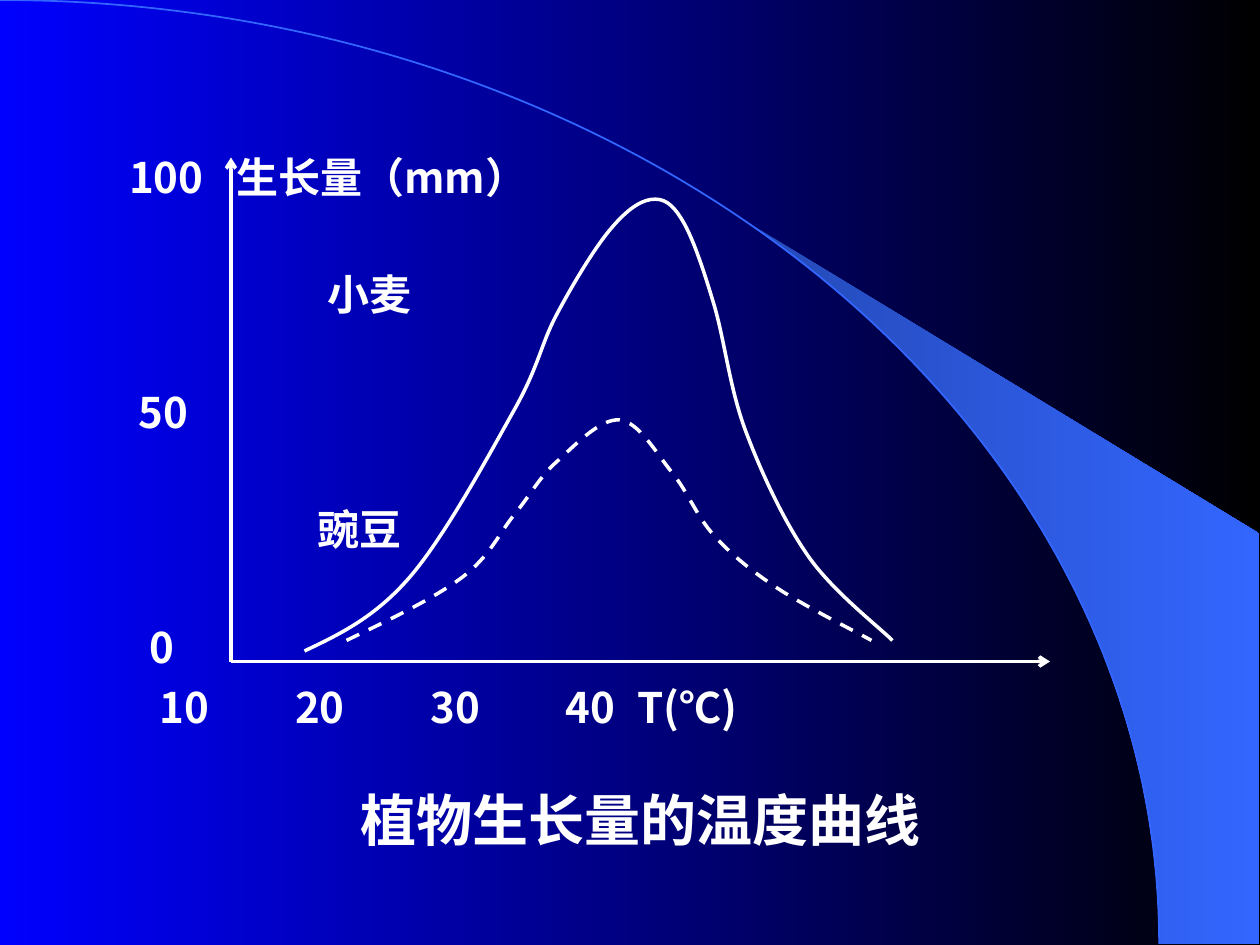
from dataclasses import dataclass
from math import cos, radians, sin

from lxml.etree import SubElement
from pptx import Presentation
from pptx.dml.color import RGBColor
from pptx.enum.dml import MSO_LINE
from pptx.enum.shapes import MSO_CONNECTOR
from pptx.enum.text import MSO_ANCHOR, MSO_AUTO_SIZE, PP_ALIGN
from pptx.oxml.ns import qn
from pptx.util import Inches, Pt

COLUMNS, ROWS = 120, 90  # twelve grid units to the inch


@dataclass(frozen=True)
class Theme:
    background: tuple = ("0000FF", "000000")
    beam: tuple = ("2449B6", "3366FF")
    arc: str = "3366FF"
    ink: str = "FFFFFF"
    title_font: str = "Noto Sans CJK JP"
    label_font: str = "Noto Sans CJK SC"
    title_size: int = 32
    label_size: int = 24
    line_width: int = 2
    arc_width: int = 1


def units(value):
    return Inches(value / 12)


def write_text(shape, text, *, font, size, color, align=PP_ALIGN.LEFT, wrap=False):
    frame = shape.text_frame
    frame.word_wrap = wrap
    frame.auto_size = MSO_AUTO_SIZE.NONE
    frame.vertical_anchor = MSO_ANCHOR.MIDDLE
    frame.margin_left = frame.margin_right = frame.margin_top = frame.margin_bottom = 0
    paragraph = frame.paragraphs[0]
    paragraph.alignment = align
    run = paragraph.add_run()
    run.text = text
    run.font.name, run.font.size, run.font.bold = font, Pt(size), True
    run.font.color.rgb = RGBColor.from_string(color)
    SubElement(run.font._element, qn("a:ea"), typeface=font)


def spline_points(knots):
    """Return anchors and Bezier controls of a smooth curve through the knots."""
    extended = knots + [knots[-1]]
    points = [knots[0]]
    for i in range(len(knots) - 1):
        here, following, beyond = extended[i:i + 3]
        arriving = tuple(b - (c - a) / 6 for a, b, c in zip(here, following, beyond))
        if i == 0:
            leaving = tuple((a + b) / 2 for a, b in zip(here, arriving))
        else:
            leaving = tuple(b + (c - a) / 6 for a, b, c in zip(knots[i - 1], here, following))
        points += [leaving, arriving, following]
    return points


class SlideBuilder:
    def __init__(self, presentation, theme):
        self.theme = theme
        self.slide = presentation.slides.add_slide(presentation.slide_layouts[5])
        self.gradient(self.slide.background.fill, theme.background)

    def gradient(self, fill, colors):
        fill.gradient()
        fill.gradient_angle = 0
        for stop, color in zip(fill.gradient_stops, colors):
            stop.color.rgb = RGBColor.from_string(color)

    def stroke(self, line, color, width):
        line.color.rgb = RGBColor.from_string(color)
        line.width = Pt(width)

    def outline(self, points, close=False):
        start, *others = [tuple(units(value) for value in point) for point in points]
        builder = self.slide.shapes.build_freeform(*start)
        builder.add_line_segments(others, close=close)
        shape = builder.convert_to_shape()
        shape.shadow.inherit = False
        return shape

    def polygon(self, points, colors):
        shape = self.outline(points, close=True)
        self.gradient(shape.fill, colors)
        shape.line.fill.background()

    def curve(self, points, color, width, dash=None):
        shape = self.outline(points)
        shape.fill.background()
        self.stroke(shape.line, color, width)
        if dash:
            shape.line.dash_style = dash
        # Every three line segments become one cubic segment
        outline_path = next(shape._element.iter(qn("a:path")))
        segments = outline_path.findall(qn("a:lnTo"))
        for i in range(0, len(segments), 3):
            cubic = SubElement(outline_path, qn("a:cubicBezTo"))
            for segment in segments[i:i + 3]:
                cubic.append(segment[0])
                outline_path.remove(segment)

    def axis(self, start, end):
        connector = self.slide.shapes.add_connector(
            MSO_CONNECTOR.STRAIGHT, *[units(value) for value in start + end])
        self.stroke(connector.line, self.theme.ink, self.theme.line_width)
        SubElement(connector.line._get_or_add_ln(), qn("a:tailEnd"), type="arrow")
        SubElement(connector._element.spPr, qn("a:effectLst"))

    def label(self, text, left, middle, width=10, height=6):
        box = self.slide.shapes.add_textbox(
            units(left), units(middle - height / 2), units(width), units(height))
        write_text(box, text, font=self.theme.label_font,
                   size=self.theme.label_size, color=self.theme.ink)

    def title(self, text, left, top, width, height):
        shape = self.slide.shapes.title
        shape.left, shape.top = units(left), units(top)
        shape.width, shape.height = units(width), units(height)
        write_text(shape, text, font=self.theme.title_font, size=self.theme.title_size,
                   color=self.theme.ink, align=PP_ALIGN.CENTER, wrap=True)


def main():
    presentation = Presentation()
    presentation.slide_width, presentation.slide_height = units(COLUMNS), units(ROWS)
    theme = Theme()
    page = SlideBuilder(presentation, theme)

    # Backdrop: a beam of light touching a quarter ellipse
    radius_x, radius_y = 110.4, 89.9
    rim = [(radius_x * sin(radians(angle)), radius_y * (1 - cos(radians(angle))))
           for angle in range(40, 91, 2)]
    page.polygon(rim + [(119.9, radius_y), (119.9, 50.8)], theme.beam)
    bend = 0.552
    page.curve([(0, 0), (radius_x * bend, 0), (radius_x, radius_y * (1 - bend)),
                (radius_x, radius_y)], theme.arc, theme.arc_width)

    # Axes
    origin = (22, 63)
    page.axis(origin, (100, 63))
    page.axis(origin, (22, 15))

    # Growth curves
    wheat = [(29, 62), (39, 55), (49, 39), (53, 30), (58, 22), (62, 19),
             (65, 21), (68, 29), (71, 41), (77, 53), (85, 61)]
    pea = [(33, 61), (44, 55), (49, 49), (53, 44), (59, 40),
           (64, 45), (68, 51), (74, 56), (83, 61)]
    for knots, dash in ((wheat, None), (pea, MSO_LINE.DASH)):
        page.curve(spline_points(knots), theme.ink, theme.line_width, dash)

    # Labels beside the vertical axis, in evenly spaced rows
    first_row, row_gap = 16.8, 11.2
    for text, left, row in (("100", 12.3, 0), ("生长量（mm）", 22.5, 0), ("小麦", 31.2, 1),
                            ("50", 13.2, 2), ("豌豆", 30.2, 3), ("0", 14.2, 4)):
        page.label(text, left, first_row + row * row_gap, width=4 * len(text))

    # Temperature scale
    scale_row, first_tick, tick_gap = 67.3, 15.2, 12.9
    for i in range(4):
        page.label(str(10 * (i + 1)), first_tick + i * tick_gap, scale_row)
    page.label("T(℃)", 60.7, scale_row)

    page.title("植物生长量的温度曲线", 10, 73, 102, 10)
    presentation.save("out.pptx")


if __name__ == "__main__":
    main()
